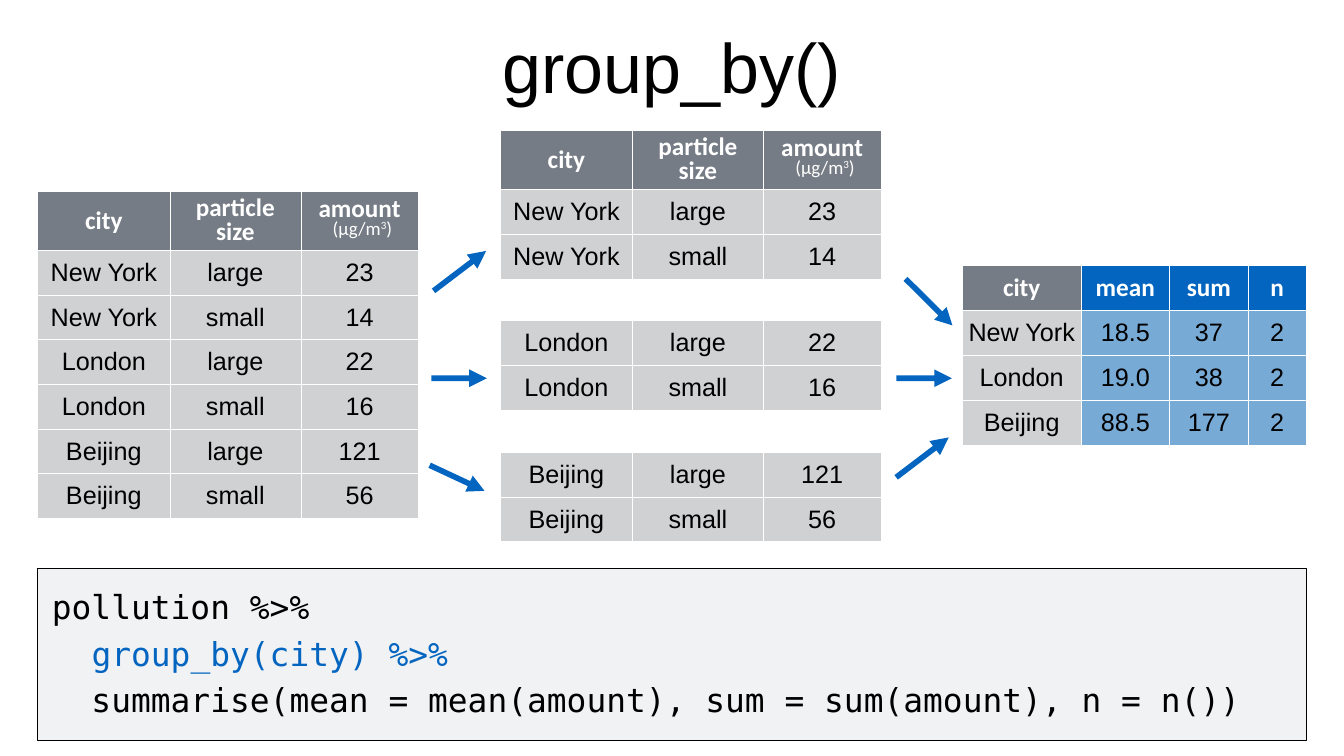
from dataclasses import dataclass

from lxml import etree
from pptx import Presentation
from pptx.dml.color import RGBColor
from pptx.enum import shapes, text
from pptx.oxml.ns import qn
from pptx.util import Pt

PX = 9144  # 100 px to the inch
INSET = 6
GREY, PALE, BLUE, SKY = "767C85", "D0D1D2", "0365C0", "78AAD6"
BLACK, WHITE = "000000", "FFFFFF"
ROW_H, HEAD_H = 89, 117
DATA_WIDTHS = [262, 260, 233]
SUMMARY_WIDTHS = [235, 176, 156, 115]
DATA_HEAD = ["city", "particle\vsize", "amount"]


@dataclass
class Grid:
    left: int
    top: int
    widths: list[int]
    rows: list[list[str]]
    head: list[str] | None = None
    head_h: int = HEAD_H
    key_fills: tuple[str, str] = (GREY, PALE)    # first column: head, body
    value_fills: tuple[str, str] = (GREY, PALE)  # other columns: head, body


@dataclass
class Arrow:
    left: int
    top: int
    width: int
    angle: float = 0
    head: float = 1


CITIES = {
    "New York": [["New York", "large", "23"], ["New York", "small", "14"]],
    "London": [["London", "large", "22"], ["London", "small", "16"]],
    "Beijing": [["Beijing", "large", "121"], ["Beijing", "small", "56"]],
}
SUMMARY = [["New York", "18.5", "37", "2"],
           ["London", "19.0", "38", "2"],
           ["Beijing", "88.5", "177", "2"]]
TOPS = {75: [380, 674, 851], 993: [259, 636, 897]}  # left edge: top of each city

ARROWS = [
    Arrow(847, 520, 131, 322.8), Arrow(856, 733, 110), Arrow(847, 931, 120, 25, 0.965),
    Arrow(1778, 582, 131, 44.8, 0.965), Arrow(1779, 733, 110), Arrow(1765, 890, 131, 322.8),
]
CODE = [[("pollution %>%", BLACK)],
        [("  ", BLACK), ("group_by(city) %>%", BLUE)],
        [("  summarise(mean = mean(amount), sum = sum(amount), n = n())", BLACK)]]


def rgb(hex_: str) -> RGBColor:
    return RGBColor.from_string(hex_)


def box(*px: int) -> list[int]:
    return [v * PX for v in px]


def style(r, size: float, font: str, colour: str, bold: bool = False) -> None:
    r.font.size, r.font.name, r.font.bold = Pt(size), font, bold
    r.font.color.rgb = rgb(colour)


def set_insets(frame) -> None:
    frame.margin_left = frame.margin_right = INSET * PX
    frame.margin_top = frame.margin_bottom = INSET * PX


def add_borders(cell) -> None:
    """Put thin white lines round a cell; they must come before its fill."""
    tc_pr = cell._tc.get_or_add_tcPr()
    for i, side in enumerate(("lnL", "lnR", "lnT", "lnB")):
        ln = etree.Element(qn(f"a:{side}"), w=str(Pt(1)))
        fill = etree.SubElement(ln, qn("a:solidFill"))
        etree.SubElement(fill, qn("a:srgbClr"), val=WHITE)
        tc_pr.insert(i, ln)


def add_unit(tf) -> None:
    """Add the line with the unit of measure below the heading."""
    p = tf.add_paragraph()
    for words, size in ((" ", 36), ("(µg/m", 27), ("3", 27), (")", 27)):
        r = p.add_run()
        r.text = words
        style(r, size, "Calibri", WHITE)
        if words == "3":
            r._r.get_or_add_rPr().set("baseline", "32000")
    for p in tf.paragraphs:
        p.alignment, p.line_spacing = text.PP_ALIGN.CENTER, 0.6


def fill_cell(cell, words: str, fill: str, is_head: bool) -> None:
    set_insets(cell)
    cell.vertical_anchor = text.MSO_ANCHOR.MIDDLE
    cell.fill.solid()
    cell.fill.fore_color.rgb = rgb(fill)
    add_borders(cell)
    p = cell.text_frame.paragraphs[0]
    p.text = words
    p.alignment = text.PP_ALIGN.CENTER
    for r in p.runs:
        style(r, 36, *(("Calibri", WHITE, True) if is_head else ("Arial", BLACK)))
    if "\v" in words:
        p.line_spacing = 0.8
        p._p.get_or_add_pPr().set("indent", str(-92 * PX))
    if words == "amount":
        add_unit(cell.text_frame)


def add_grid(s, g: Grid) -> None:
    lines = ([g.head] if g.head else []) + g.rows
    heights = ([g.head_h] if g.head else []) + [ROW_H] * len(g.rows)
    table = s.shapes.add_table(len(lines), len(g.widths),
                               *box(g.left, g.top, sum(g.widths), sum(heights))).table
    table.first_row = table.horz_banding = False
    for col, width in zip(table.columns, g.widths):
        col.width = width * PX
    for i, (line, height) in enumerate(zip(lines, heights)):
        table.rows[i].height = height * PX
        is_head = line is g.head
        for j, words in enumerate(line):
            fills = g.value_fills if j else g.key_fills
            fill_cell(table.cell(i, j), words, fills[0 if is_head else 1], is_head)


def add_arrow(s, a: Arrow) -> None:
    sp = s.shapes.add_shape(shapes.MSO_SHAPE.RIGHT_ARROW, *box(a.left, a.top, a.width, 35))
    sp.adjustments[0], sp.adjustments[1] = 0.32, a.head
    sp.rotation = a.angle
    sp.shadow.inherit = False
    sp.fill.solid()
    sp.fill.fore_color.rgb = rgb(BLUE)
    sp.line.fill.background()


def add_title(s) -> None:
    sp = s.shapes.title
    sp.left, sp.top, sp.width, sp.height = box(438, -2, 1790, 262)
    tf = sp.text_frame
    tf.text = "group_by()"
    tf.auto_size = text.MSO_AUTO_SIZE.NONE
    tf.vertical_anchor = text.MSO_ANCHOR.MIDDLE
    set_insets(tf)
    tf.paragraphs[0].alignment = text.PP_ALIGN.CENTER
    style(tf.paragraphs[0].runs[0], 100, "Arial", BLACK)


def add_code(s) -> None:
    panel = s.shapes.add_shape(shapes.MSO_SHAPE.RECTANGLE, *box(74, 1128, 2518, 341))
    panel.shadow.inherit = False
    panel.fill.solid()
    panel.fill.fore_color.rgb = rgb("F0F2F4")
    panel.line.color.rgb = rgb(BLACK)
    panel.line.width = Pt(1)
    tf = s.shapes.add_textbox(*box(97, 1158, 2487, 319)).text_frame
    tf.word_wrap = True
    set_insets(tf)
    for i, line in enumerate(CODE):
        p = tf.add_paragraph() if i else tf.paragraphs[0]
        if i:
            p.space_before = Pt(10)
        for words, colour in line:
            r = p.add_run()
            r.text = words
            style(r, 47, "DejaVu Sans Mono", colour)


def main() -> None:
    prs = Presentation()
    prs.slide_width, prs.slide_height = box(2667, 1500)
    s = prs.slides.add_slide(prs.slide_layouts[5])
    add_title(s)
    for left, tops in TOPS.items():
        for top, (city, rows) in zip(tops, CITIES.items()):
            add_grid(s, Grid(left, top, DATA_WIDTHS, rows,
                             DATA_HEAD if city == "New York" else None))
    add_grid(s, Grid(1910, 527, SUMMARY_WIDTHS, SUMMARY, ["city", "mean", "sum", "n"],
                     ROW_H, value_fills=(BLUE, SKY)))
    for arrow in ARROWS:
        add_arrow(s, arrow)
    add_code(s)
    prs.save("out.pptx")


if __name__ == "__main__":
    main()
